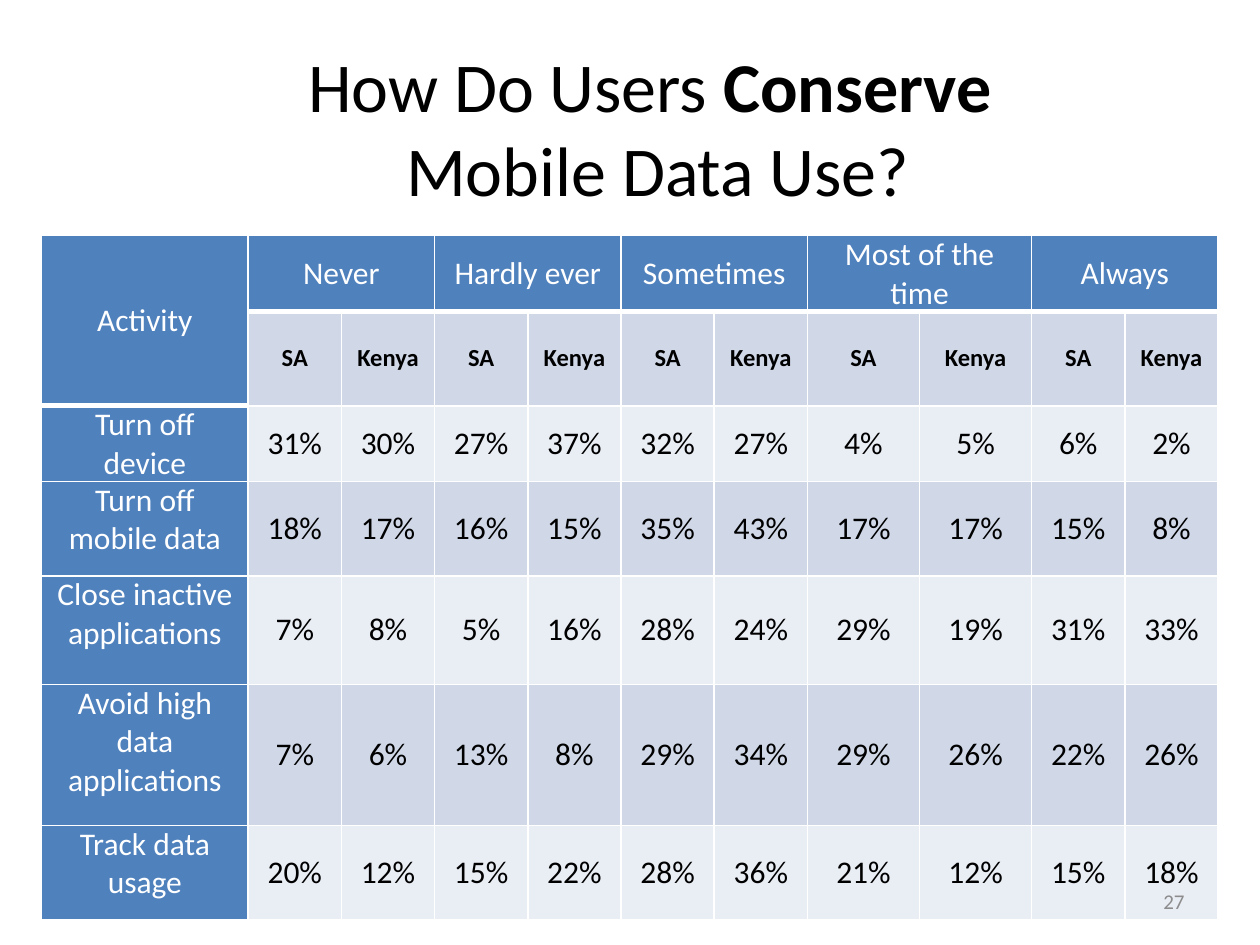
from dataclasses import dataclass

from lxml import etree
from pptx import Presentation
from pptx.dml.color import RGBColor
from pptx.enum.text import MSO_ANCHOR, PP_ALIGN
from pptx.oxml.ns import qn
from pptx.util import Inches, Pt

CENTER, RIGHT = PP_ALIGN.CENTER, PP_ALIGN.RIGHT
TOP, MIDDLE = MSO_ANCHOR.TOP, MSO_ANCHOR.MIDDLE
FONT = "Calibri"
COLORS = {
    "header": "4F81BD",
    "dark_band": "D0D8E8",
    "light_band": "E9EDF4",
    "white": "FFFFFF",
    "black": "000000",
    "gray": "8C8C8C",
}


@dataclass
class CellStyle:
    fill: str
    color: str
    size: int = 18
    bold: bool = False
    anchor: MSO_ANCHOR = MIDDLE
    bottom_border: int = 1


@dataclass
class Activity:
    name: str
    shares: list[int]  # SA and Kenya in turn for each frequency


FREQUENCIES = ["Never", "Hardly ever", "Sometimes", "Most of the time", "Always"]
COUNTRIES = ["SA", "Kenya"]
ACTIVITIES = [
    Activity("Turn off device", [31, 30, 27, 37, 32, 27, 4, 5, 6, 2]),
    Activity("Turn off mobile data", [18, 17, 16, 15, 35, 43, 17, 17, 15, 8]),
    Activity("Close inactive applications", [7, 8, 5, 16, 28, 24, 29, 19, 31, 33]),
    Activity("Avoid high data applications", [7, 6, 13, 8, 29, 34, 29, 26, 22, 26]),
    Activity("Track data usage", [20, 12, 15, 22, 28, 36, 21, 12, 15, 18]),
]
COL_WIDTHS = [1.64] + [0.74] * 6 + [0.89] * 2 + [0.74] * 2
ROW_HEIGHTS = [0.57, 0.75, 0.57, 0.75, 0.86, 1.12, 0.75]

HEADER = CellStyle("header", "white", bottom_border=3)
COUNTRY = CellStyle("dark_band", "black", size=14, bold=True)
LABEL = CellStyle("header", "white", anchor=TOP)
BANDS = [CellStyle("light_band", "black"), CellStyle("dark_band", "black")]


def style_paragraph(p, size: int, color: str, align: PP_ALIGN) -> None:
    p.alignment = align
    p.font.name = FONT
    p.font.size = Pt(size)
    p.font.color.rgb = RGBColor.from_string(COLORS[color])


def add_border(cell, side: str, width: int) -> None:
    ln = etree.SubElement(cell._tc.get_or_add_tcPr(), qn(f"a:ln{side}"), w=str(Pt(width)))
    fill = etree.SubElement(ln, qn("a:solidFill"))
    etree.SubElement(fill, qn("a:srgbClr"), val=COLORS["white"])


def fill_cell(cell, text: str, style: CellStyle) -> None:
    # Borders must precede the fill in the cell properties.
    for side in "LRT":
        add_border(cell, side, 1)
    add_border(cell, "B", style.bottom_border)
    cell.fill.solid()
    cell.fill.fore_color.rgb = RGBColor.from_string(COLORS[style.fill])
    cell.margin_left = cell.margin_right = Inches(0.07)
    cell.margin_top = cell.margin_bottom = 0
    cell.vertical_anchor = style.anchor
    p = cell.text_frame.paragraphs[0]
    p.text = text
    style_paragraph(p, style.size, style.color, CENTER)
    p.font.bold = style.bold


def add_text_box(s, left: float, top: float, width: float, height: float):
    """Add a wrapped, vertically centred text box and return its paragraph."""
    box = s.shapes.add_textbox(Inches(left), Inches(top), Inches(width), Inches(height))
    tf = box.text_frame
    tf.word_wrap = True
    tf.vertical_anchor = MIDDLE
    return tf.paragraphs[0]


def add_title(s) -> None:
    p = add_text_box(s, 0.98, 0.27, 8.48, 1.47)
    p.add_run().text = "How Do Users "
    r = p.add_run()
    r.text = "Conserve "
    r.font.bold = True
    p.add_line_break()
    p.add_run().text = "Mobile Data Use?"
    style_paragraph(p, 40, "black", CENTER)
    for run in p.runs:
        run.font.size = Pt(40)


def add_usage_table(s) -> None:
    frame = s.shapes.add_table(
        len(ROW_HEIGHTS), len(COL_WIDTHS), Inches(0.33), Inches(1.87),
        Inches(sum(COL_WIDTHS)), Inches(sum(ROW_HEIGHTS)),
    )
    table = frame.table
    for column, width in zip(table.columns, COL_WIDTHS):
        column.width = Inches(width)
    for row, height in zip(table.rows, ROW_HEIGHTS):
        row.height = Inches(height)

    table.cell(0, 0).merge(table.cell(1, 0))
    fill_cell(table.cell(0, 0), "Activity", HEADER)
    for i, frequency in enumerate(FREQUENCIES):
        col = 1 + i * len(COUNTRIES)
        table.cell(0, col).merge(table.cell(0, col + 1))
        fill_cell(table.cell(0, col), frequency, HEADER)
        for j, country in enumerate(COUNTRIES):
            fill_cell(table.cell(1, col + j), country, COUNTRY)

    for i, activity in enumerate(ACTIVITIES):
        fill_cell(table.cell(i + 2, 0), activity.name, LABEL)
        for col, share in enumerate(activity.shares, start=1):
            fill_cell(table.cell(i + 2, col), f"{share}%", BANDS[i % 2])


def add_page_number(s) -> None:
    p = add_text_box(s, 7.17, 6.95, 2.33, 0.4)
    p.text = "27"
    style_paragraph(p, 12, "gray", RIGHT)


def main() -> None:
    prs = Presentation()
    prs.slide_width, prs.slide_height = Inches(10), Inches(7.5)
    s = prs.slides.add_slide(prs.slide_layouts[6])
    add_title(s)
    add_usage_table(s)
    add_page_number(s)
    prs.save("out.pptx")


if __name__ == "__main__":
    main()
